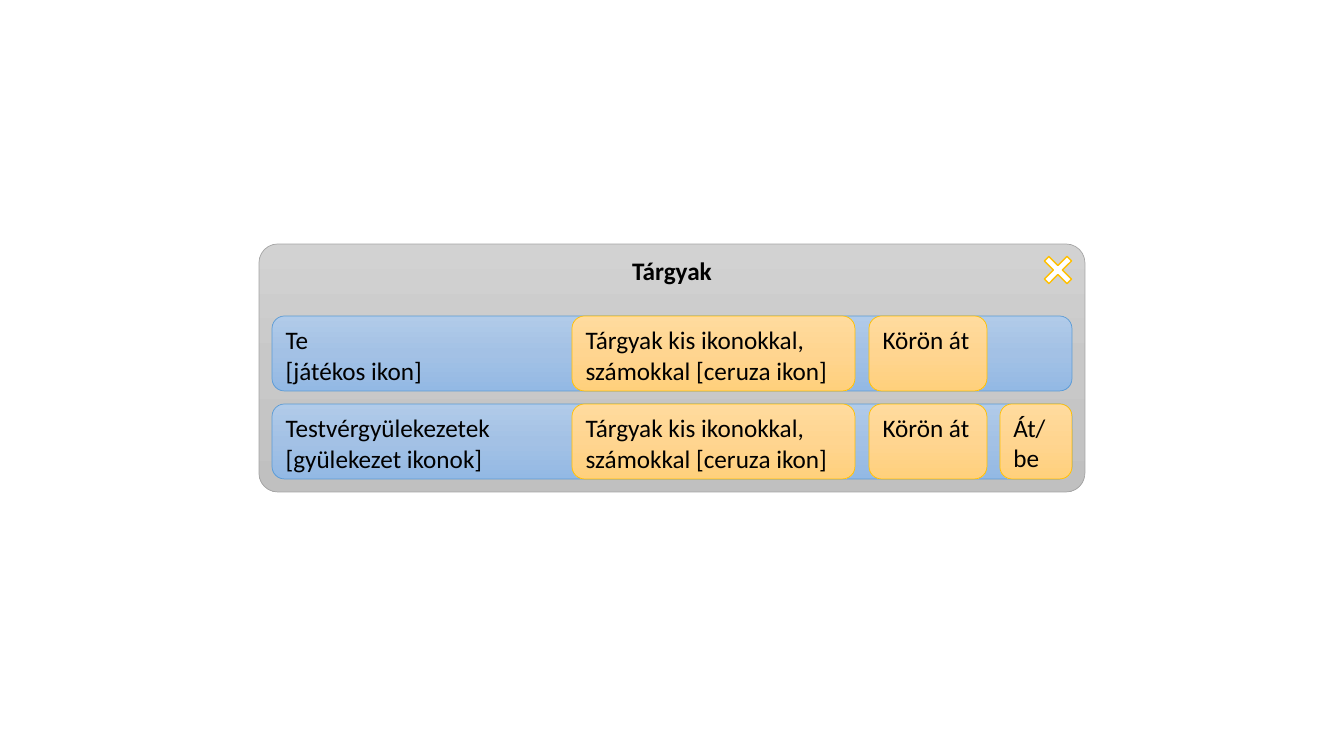
from copy import deepcopy
from dataclasses import dataclass

from pptx import Presentation
from pptx.dml.color import RGBColor
from pptx.enum.shapes import MSO_SHAPE
from pptx.enum.text import MSO_ANCHOR, MSO_AUTO_SIZE, PP_ALIGN
from pptx.oxml.ns import qn
from pptx.util import Emu, Pt

ROUNDED, CROSS = MSO_SHAPE.ROUNDED_RECTANGLE, MSO_SHAPE.CROSS
TOP, MIDDLE = MSO_ANCHOR.TOP, MSO_ANCHOR.MIDDLE
LEFT, CENTER = PP_ALIGN.LEFT, PP_ALIGN.CENTER
NO_AUTOFIT = MSO_AUTO_SIZE.NONE
EMU_PER_PIXEL = 914400 / 100.8
TITLE_ONLY_LAYOUT = 5


@dataclass(frozen=True)
class Style:
    fill: tuple[str, ...]
    line: str
    weight: float = 0.5


@dataclass(frozen=True)
class Theme:
    font: str = "Calibri"
    size: int = 18
    text: str = "000000"
    panel: Style = Style(("D2D2D2", "C8C8C8", "C0C0C0"), "A5A5A5")
    row: Style = Style(("B1CBE9", "A3C1E5", "93B9E4"), "5B9BD5")
    button: Style = Style(("FFDB9E", "FFD590", "FFD07C"), "FFC000")
    close: Style = Style(("FFFFFF",), "FFC000", 1)


@dataclass(frozen=True)
class Box:
    left: int
    top: int
    width: int
    height: int


@dataclass(frozen=True)
class ItemRow:
    owner: str
    buttons: tuple[str, ...]


THEME = Theme()
PANEL = Box(259, 244, 826, 248)
HEADING = Box(259, 244, 826, 53)
CLOSE = Box(1042, 254, 32, 32)
FIRST_ROW = Box(272, 316, 800, 75)
ROW_PITCH = 88
BUTTON_COLUMNS = ((572, 283), (869, 118), (1000, 72))  # left, width
ITEMS = "Tárgyak kis ikonokkal, számokkal [ceruza ikon]"
PER_TURN = "Körön át"
ROWS = (
    ItemRow("Te\n[játékos ikon]", (ITEMS, PER_TURN)),
    ItemRow("Testvérgyülekezetek\n[gyülekezet ikonok]", (ITEMS, PER_TURN, "Át/\nbe")),
)


def px(pixels: int) -> Emu:
    return Emu(round(pixels * EMU_PER_PIXEL))


def apply(target, formats: dict) -> None:
    for name, value in formats.items():
        setattr(target, name, value)


def place(box: Box) -> dict:
    return {side: px(getattr(box, side)) for side in ("left", "top", "width", "height")}


def write(shape, text: str, align=LEFT, anchor=TOP, bold: bool = False) -> None:
    frame = shape.text_frame
    frame.text = text
    apply(frame, {"word_wrap": True, "auto_size": NO_AUTOFIT, "vertical_anchor": anchor})
    for paragraph in frame.paragraphs:
        paragraph.alignment = align
        apply(paragraph.font, {"name": THEME.font, "size": Pt(THEME.size), "bold": bold})
        paragraph.font.color.rgb = RGBColor.from_string(THEME.text)


def paint(shape, style: Style) -> None:
    shape.shadow.inherit = False
    shape.line.color.rgb = RGBColor.from_string(style.line)
    shape.line.width = Pt(style.weight)
    if len(style.fill) == 1:
        shape.fill.solid()
        shape.fill.fore_color.rgb = RGBColor.from_string(style.fill[0])
        return
    shape.fill.gradient()
    shape.fill.gradient_angle = 270
    # A new gradient has two stops; add the middle one
    stops = next(shape.element.iter(qn("a:gsLst")))
    stops.insert(1, deepcopy(stops[0]))
    for index, (stop, color) in enumerate(zip(shape.fill.gradient_stops, style.fill)):
        stop.position = index / (len(style.fill) - 1)
        stop.color.rgb = RGBColor.from_string(color)


def draw(slide, box: Box, style: Style, text: str = "", kind=ROUNDED):
    shape = slide.shapes.add_shape(kind, **place(box))
    paint(shape, style)
    if text:
        write(shape, text)
    return shape


presentation = Presentation()
apply(presentation, {"slide_width": px(1344), "slide_height": px(756)})
slide = presentation.slides.add_slide(presentation.slide_layouts[TITLE_ONLY_LAYOUT])

# Panel with its heading in front
panel = draw(slide, PANEL, THEME.panel)
panel.adjustments[0] = 0.076
heading = slide.shapes.title
apply(heading, place(HEADING))
write(heading, "Tárgyak", CENTER, MIDDLE, bold=True)
panel.element.addnext(heading.element)

# Rows with their buttons
for number, item_row in enumerate(ROWS):
    top = FIRST_ROW.top + number * ROW_PITCH
    draw(slide, Box(FIRST_ROW.left, top, FIRST_ROW.width, FIRST_ROW.height),
         THEME.row, item_row.owner)
    for (left, width), label in zip(BUTTON_COLUMNS, item_row.buttons):
        draw(slide, Box(left, top, width, FIRST_ROW.height), THEME.button, label)

# Close button
close = draw(slide, CLOSE, THEME.close, kind=CROSS)
close.adjustments[0] = 0.4
close.rotation = 315

presentation.save("out.pptx")
